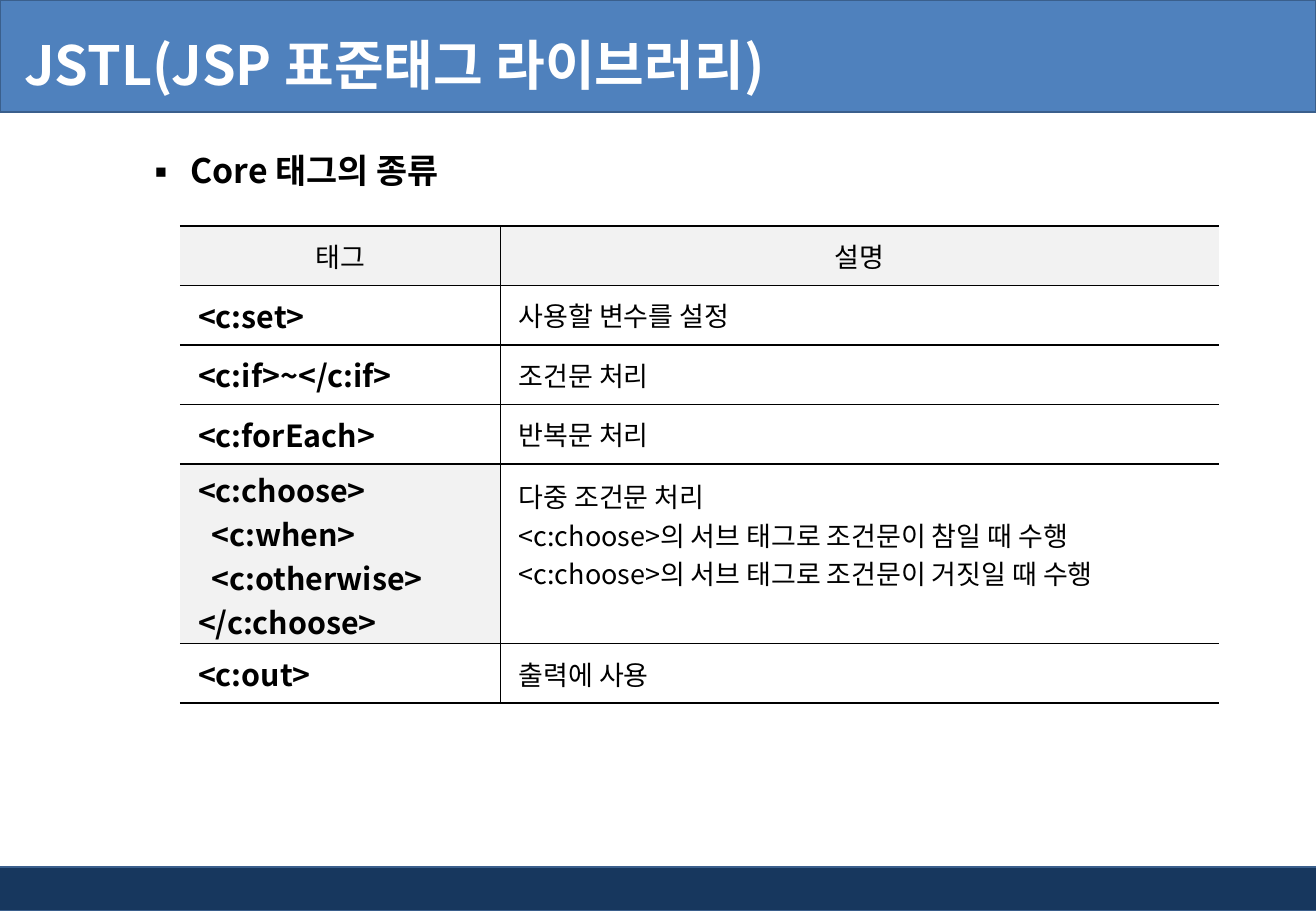
"""Build the slide that lists the JSTL core tags."""
from dataclasses import dataclass

from lxml import etree
from pptx import Presentation
from pptx import util as u
from pptx.dml.color import RGBColor
from pptx.enum import shapes, text
from pptx.oxml import ns


@dataclass(frozen=True)
class Theme:
    font: str = "Noto Sans CJK KR"
    white: str = "FFFFFF"
    black: str = "000000"
    header: str = "4F81BD"
    footer: str = "17375E"
    outline: str = "3A5F8C"
    shade: str = "F2F2F2"
    title: int = 32
    heading: int = 20
    tag: int = 18
    body: int = 16


theme = Theme()


def write(p, words, *, size, color=theme.black, bold=False, align=None, indent=0, hanging=0, bullet=None):
    pPr = p._p.get_or_add_pPr()
    pPr.set("marL", str(u.Inches(indent)))
    pPr.set("indent", str(-u.Inches(hanging)))
    if bullet:
        etree.SubElement(pPr, ns.qn("a:buFont"), typeface=theme.font)
        etree.SubElement(pPr, ns.qn("a:buChar"), char=bullet)
    if align is not None:
        p.alignment = align
    r = p.add_run()
    r.text = words
    r.font.size = u.Pt(size)
    r.font.bold = bold
    r.font.name = theme.font
    r.font.color.rgb = RGBColor.from_string(color)
    etree.SubElement(r._r.get_or_add_rPr(), ns.qn("a:ea"), typeface=theme.font)


prs = Presentation()
prs.slide_width, prs.slide_height = u.Inches(10.83), u.Inches(7.5)
s = prs.slides.add_slide(prs.slide_layouts[6])

bars = [((-0.04, 7.14, 10.88, 0.36), theme.footer), ((0, 0, 10.83, 0.92), theme.header)]
for box, color in bars:
    sp = s.shapes.add_shape(shapes.MSO_SHAPE.RECTANGLE, *map(u.Inches, box))
    sp.shadow.inherit = False
    sp.fill.solid()
    sp.fill.fore_color.rgb = RGBColor.from_string(color)
    sp.line.color.rgb = RGBColor.from_string(theme.outline)
    sp.line.width = u.Pt(1)

tf = s.shapes.add_textbox(*map(u.Inches, (0, 0.06, 8.74, 0.94))).text_frame
tf.word_wrap = True
tf.vertical_anchor = text.MSO_ANCHOR.MIDDLE
tf.margin_left = u.Inches(0.2)
write(tf.paragraphs[0], "JSTL(JSP 표준태그 라이브러리)", size=theme.title, color=theme.white, bold=True)

tf = s.shapes.add_textbox(*map(u.Inches, (1.09, 1.02, 5.35, 0.54))).text_frame
tf.word_wrap = True
write(tf.paragraphs[0], "Core 태그의 종류", size=theme.heading, bold=True, indent=0.38, hanging=0.38, bullet="▪")
tf.paragraphs[0].line_spacing = 1.5

rows = [
    (["태그"], ["설명"]),
    (["<c:set>"], ["사용할 변수를 설정"]),
    (["<c:if>~</c:if>"], ["조건문 처리"]),
    (["<c:forEach>"], ["반복문 처리"]),
    (
        ["<c:choose>", "<c:when>", "<c:otherwise>", "</c:choose>"],
        [
            "다중 조건문 처리",
            "<c:choose>의 서브 태그로 조건문이 참일 때 수행",
            "<c:choose>의 서브 태그로 조건문이 거짓일 때 수행",
        ],
    ),
    (["<c:out>"], ["출력에 사용"]),
]
nested = {"<c:when>", "<c:otherwise>"}

table = s.shapes.add_table(len(rows), 2, *map(u.Inches, (1.48, 1.86, 8.55, 3.93))).table
table.first_row = table.horz_banding = False
for column, width in zip(table.columns, (2.64, 5.91)):
    column.width = u.Inches(width)

for i, row in enumerate(rows):
    tall = len(row[0]) > 1
    table.rows[i].height = u.Inches(1.48 if tall else 0.49)
    for j, lines in enumerate(row):
        cell = table.cell(i, j)
        tcPr = cell._tc.get_or_add_tcPr()
        for side in "LRTB":
            ln = etree.SubElement(tcPr, ns.qn(f"a:ln{side}"), w=str(u.Pt(1)))
            if side == "LR"[j]:
                etree.SubElement(ln, ns.qn("a:noFill"))
            else:
                fill = etree.SubElement(ln, ns.qn("a:solidFill"))
                etree.SubElement(fill, ns.qn("a:srgbClr"), val=theme.black)
        if i == 0 or (tall and j == 0):
            cell.fill.solid()
            cell.fill.fore_color.rgb = RGBColor.from_string(theme.shade)
        else:
            cell.fill.background()
        cell.vertical_anchor = text.MSO_ANCHOR.MIDDLE
        if i > 0:
            cell.margin_left = u.Inches(0.15)
        if tall:
            cell.vertical_anchor = text.MSO_ANCHOR.TOP
            cell.margin_top = u.Inches((0.03, 0.1)[j])
            cell.margin_bottom = 0
        is_tag = i > 0 and j == 0
        tf = cell.text_frame
        for k, line in enumerate(lines):
            p = tf.add_paragraph() if k else tf.paragraphs[0]
            write(
                p,
                line,
                size=theme.tag if is_tag else theme.body,
                bold=is_tag,
                align=text.PP_ALIGN.LEFT if i else text.PP_ALIGN.CENTER,
                indent=0.11 if line in nested else 0,
            )

prs.save("out.pptx")
